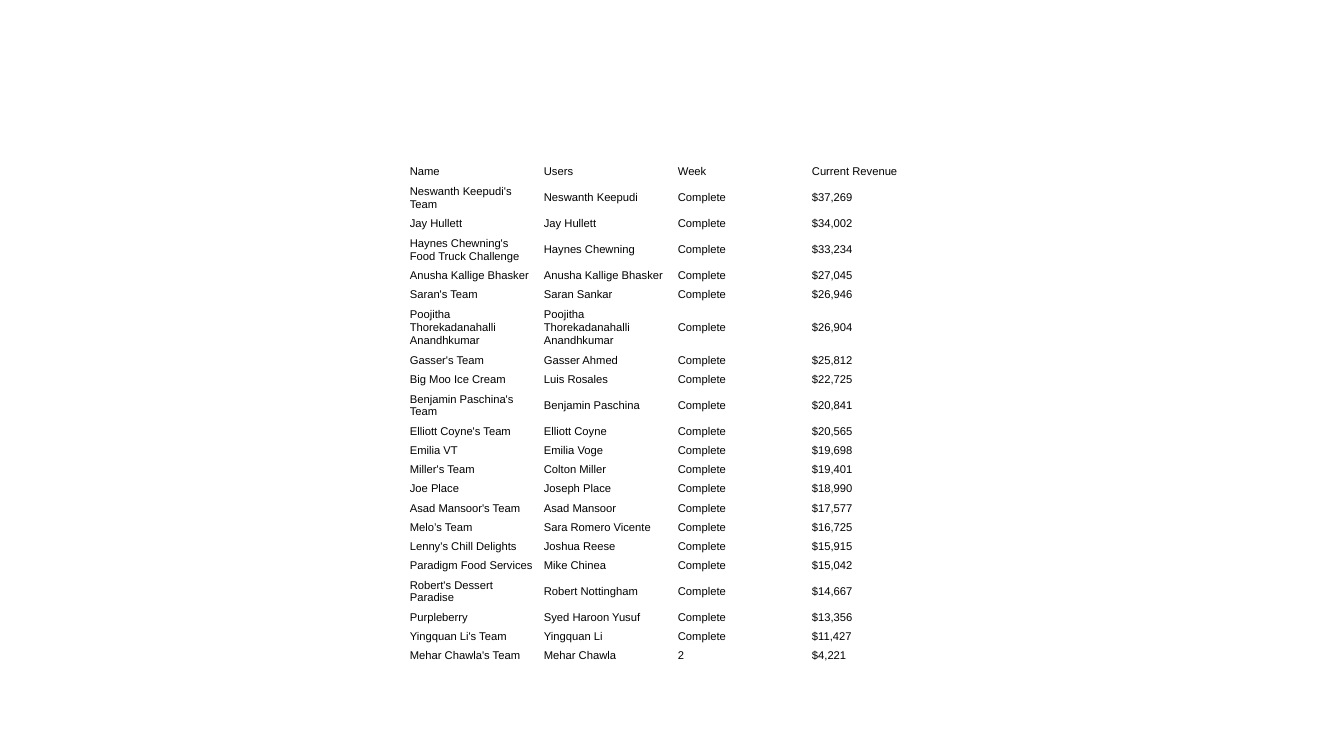
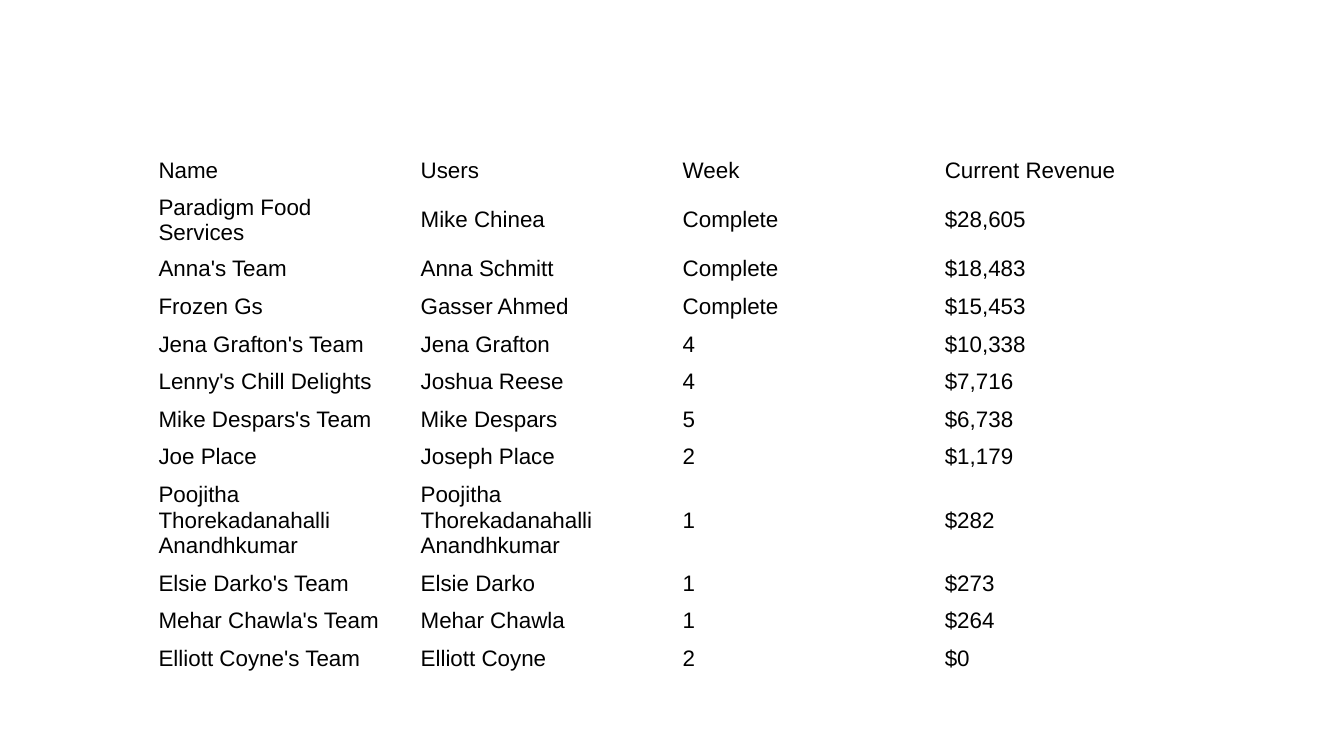
from dataclasses import dataclass
from typing import NamedTuple

from pptx import Presentation
from pptx.dml.color import RGBColor
from pptx.enum.text import MSO_ANCHOR, PP_ALIGN
from pptx.util import Inches, Pt

COLORS = {"page": "FFFFFF", "text": "000000"}
FONT = "Arial"
SLIDE_WIDTH, SLIDE_HEIGHT = Inches(10), Pt(405)
DONE = "Complete"


class Entry(NamedTuple):
    """One team on a leaderboard, with the text lines its row makes room for."""
    name: str
    users: str
    week: str
    revenue: str
    lines: int = 1


@dataclass(frozen=True)
class Leaderboard:
    """A table placed in percent of the slide, with its type measures in points."""
    left: float
    top: float
    width: float
    height: float
    font_size: float
    line_height: float
    row_padding: float
    side_inset: float
    end_inset: float
    entries: tuple[Entry, ...]


HEADING = Entry("Name", "Users", "Week", "Current Revenue")
FIELDS = HEADING[:4]
LONG_NAME = "Poojitha Thorekadanahalli Anandhkumar"

FIRST_ROUND = (
    Entry("Neswanth Keepudi's Team", "Neswanth Keepudi", DONE, "$37,269", 2),
    Entry("Jay Hullett", "Jay Hullett", DONE, "$34,002"),
    Entry("Haynes Chewning's Food Truck Challenge", "Haynes Chewning", DONE, "$33,234", 2),
    Entry("Anusha Kallige Bhasker", "Anusha Kallige Bhasker", DONE, "$27,045"),
    Entry("Saran's Team", "Saran Sankar", DONE, "$26,946"),
    Entry(LONG_NAME, LONG_NAME, DONE, "$26,904", 3),
    Entry("Gasser's Team", "Gasser Ahmed", DONE, "$25,812"),
    Entry("Big Moo Ice Cream", "Luis Rosales", DONE, "$22,725"),
    Entry("Benjamin Paschina's Team", "Benjamin Paschina", DONE, "$20,841", 2),
    Entry("Elliott Coyne's Team", "Elliott Coyne", DONE, "$20,565"),
    Entry("Emilia VT", "Emilia Voge", DONE, "$19,698"),
    Entry("Miller's Team", "Colton Miller", DONE, "$19,401"),
    Entry("Joe Place", "Joseph Place", DONE, "$18,990"),
    Entry("Asad Mansoor's Team", "Asad Mansoor", DONE, "$17,577"),
    Entry("Melo’s Team", "Sara Romero Vicente", DONE, "$16,725"),
    Entry("Lenny's Chill Delights", "Joshua Reese", DONE, "$15,915"),
    Entry("Paradigm Food Services", "Mike Chinea", DONE, "$15,042"),
    Entry("Robert's Dessert Paradise", "Robert Nottingham", DONE, "$14,667", 2),
    Entry("Purpleberry", "Syed Haroon Yusuf", DONE, "$13,356"),
    Entry("Yingquan Li's Team", "Yingquan Li", DONE, "$11,427"),
    Entry("Mehar Chawla's Team", "Mehar Chawla", "2", "$4,221"),
)

SECOND_ROUND = (
    Entry("Paradigm Food Services", "Mike Chinea", DONE, "$28,605"),
    Entry("Anna's Team", "Anna Schmitt", DONE, "$18,483"),
    Entry("Frozen Gs", "Gasser Ahmed", DONE, "$15,453"),
    Entry("Jena Grafton's Team", "Jena Grafton", "4", "$10,338"),
    Entry("Lenny's Chill Delights", "Joshua Reese", "4", "$7,716"),
    Entry("Mike Despars's Team", "Mike Despars", "5", "$6,738"),
    Entry("Joe Place", "Joseph Place", "2", "$1,179"),
    Entry(LONG_NAME, LONG_NAME, "1", "$282", 3),
    Entry("Elsie Darko's Team", "Elsie Darko", "1", "$273"),
    Entry("Mehar Chawla's Team", "Mehar Chawla", "1", "$264"),
    Entry("Elliott Coyne's Team", "Elliott Coyne", "2", "$0"),
)

LEADERBOARDS = (
    Leaderboard(left=30.1, top=21.5, width=39.9, height=68.27, font_size=6,
                line_height=7.2, row_padding=3.1, side_inset=0.04, end_inset=0.02,
                entries=FIRST_ROUND),
    Leaderboard(left=11, top=20.1, width=78, height=71.11, font_size=12,
                line_height=13.9, row_padding=6.2, side_inset=0.08, end_inset=0.04,
                entries=SECOND_ROUND),
)


def across(percent: float) -> int:
    """Turn a share of the slide width into a length."""
    return round(SLIDE_WIDTH * percent / 100)


def down(percent: float) -> int:
    """Turn a share of the slide height into a length."""
    return round(SLIDE_HEIGHT * percent / 100)


def write_cell(cell, text: str, *, size: float, side: float, end: float) -> None:
    """Fill one table cell with plain text on a clear ground."""
    cell.fill.background()
    cell.vertical_anchor = MSO_ANCHOR.MIDDLE
    cell.margin_left = cell.margin_right = Inches(side)
    cell.margin_top = cell.margin_bottom = Inches(end)
    para = cell.text_frame.paragraphs[0]
    para.alignment = PP_ALIGN.LEFT
    span = para.add_run()
    span.text = text
    span.font.name = FONT
    span.font.size = Pt(size)
    span.font.bold = False
    span.font.color.rgb = RGBColor.from_string(COLORS["text"])


def add_leaderboard(page, board: Leaderboard) -> None:
    """Draw a leaderboard table on a page."""
    rows = (HEADING, *board.entries)
    box = page.shapes.add_table(len(rows), len(FIELDS), across(board.left), down(board.top),
                                across(board.width), down(board.height))
    table = box.table
    table.first_row = table.horz_banding = False
    for row, entry in zip(table.rows, rows):
        row.height = Pt(board.row_padding + entry.lines * board.line_height)
        for cell, text in zip(row.cells, entry[:len(FIELDS)]):
            write_cell(cell, text, size=board.font_size,
                       side=board.side_inset, end=board.end_inset)
    box.height = down(board.height)


def main() -> None:
    """Build and save the deck."""
    deck = Presentation()
    deck.slide_width, deck.slide_height = SLIDE_WIDTH, SLIDE_HEIGHT
    for board in LEADERBOARDS:
        page = deck.slides.add_slide(deck.slide_layouts[6])
        ground = page.background.fill
        ground.solid()
        ground.fore_color.rgb = RGBColor.from_string(COLORS["page"])
        add_leaderboard(page, board)
    deck.save("out.pptx")


if __name__ == "__main__":
    main()
